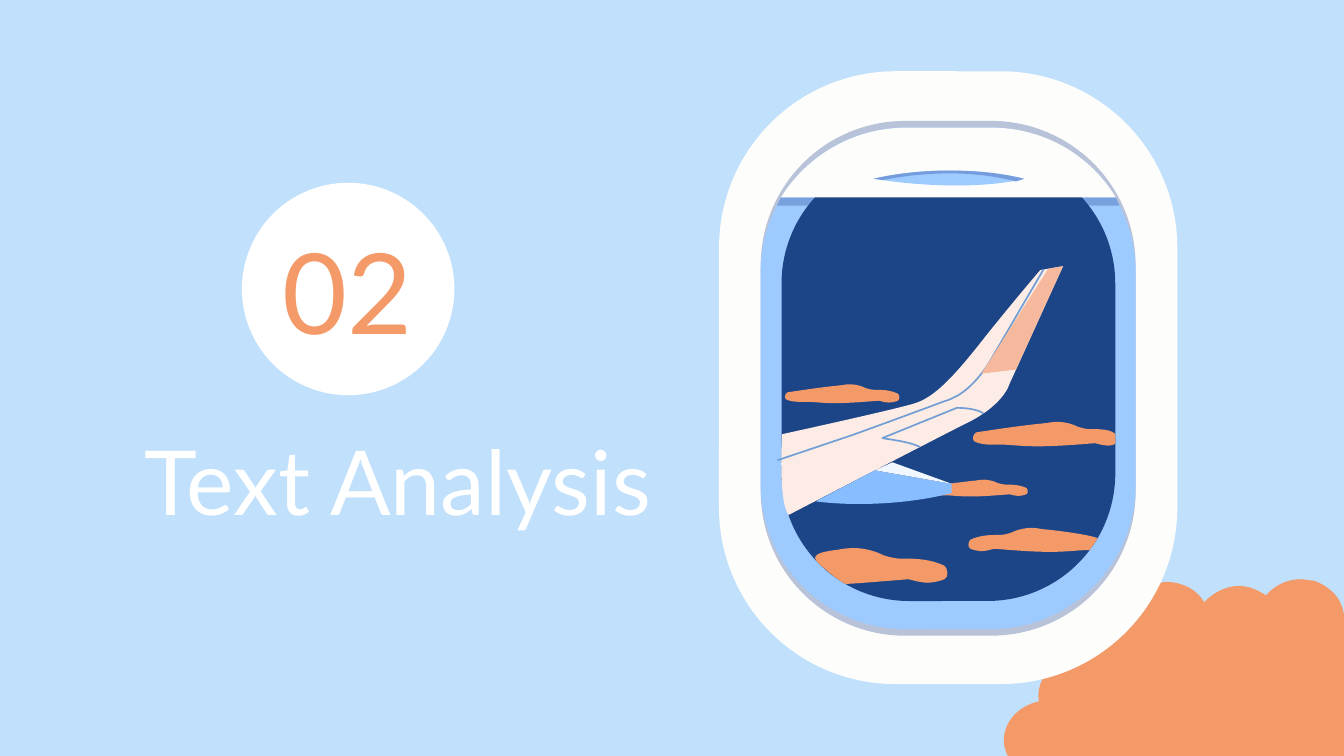
from math import sqrt

from lxml.etree import SubElement
from pptx import Presentation
from pptx.dml.color import RGBColor as RGB
from pptx.enum.shapes import MSO_SHAPE as SHAPE
from pptx.enum.text import MSO_ANCHOR as ANCHOR, PP_ALIGN as ALIGN
from pptx.oxml.ns import qn
from pptx.util import Pt

THEME = dict(
    font="Lato", title_size=48, number_size=60, seam_width=0.9,
    sky="C1E0FB", white="FFFFFF", orange="F49968", frame="FDFDFB", rim="B8C3D9",
    pane="9DCAFF", glass="1C4587", shade_edge="77A1DC", handle_edge="759DDD",
    wing="FDECE5", wing_tip="F6B99D", seam="719ED4", engine="88BEFF", nacelle="F1F7FF",
)
TITLE = ("Text Analysis", (70.6, 226.8, 300.2, 66.2))
NUMBER = ("02", (143.3, 132.5, 85.7, 45.4))
BADGE = (129.6, 97.9, 113.8, 113.8)

FRAME = (385.2, 38.2, 245.5, 328.3, 94.5)
RIM = (407.5, 64.8, 200.9, 275.8, 77.4)
PANE = (407.5, 68.4, 200.9, 268.6, 77.4)
GLASS = (418.7, 83.5, 178.8, 238.5, 68.4)

# Pairs are corners; groups of six are curves.
CORNER_CLOUD = [
    (697, 310.3), (689.8, 310.3, 683.3, 313.2, 678.2, 319),
    (673.9, 316.1, 668.9, 313.9, 663.8, 313.9), (656.6, 313.9, 650.2, 317.5, 645.1, 322.6),
    (641.5, 316.1, 633.6, 311.8, 625, 311.8), (623.5, 311.8, 622.8, 311.8, 621.4, 312.5),
    (611.3, 313.9, 604.1, 321.1, 602.6, 329.8), (598.3, 326.2, 592.6, 324.7, 587.5, 324.7),
    (582.5, 324.7, 577.4, 326.2, 573.1, 329), (564.5, 335.5, 562.3, 346.3, 567.4, 355),
    (559.4, 359.3, 555.1, 367.9, 556.6, 375.8), (545.8, 378, 537.8, 386.6, 537.8, 396.7),
    (537.8, 399.5, 538.5, 402.3, 540, 405), (720, 405), (720, 329.8),
    (719.3, 321.1, 712.8, 313.9, 703.4, 311), (701.3, 311, 699.1, 310.3, 697, 310.3),
]
SHADE_EDGE = [(418.3, 105.8), (416.2, 110.2), (599.8, 110.2), (597.7, 105.8)]
SHADE = [(418.3, 105.8), (432.7, 82.8, 457.9, 68.4, 485.3, 68.4), (531.4, 68.4),
         (558.7, 68.4, 583.9, 82.8, 597.7, 105.8)]
HANDLE_TOP = [(468, 95.8), (468, 95.8, 484.6, 91.4, 508.3, 91.4),
              (519.8, 91.4, 534.2, 92.2, 548.6, 95.8)]
HANDLE = HANDLE_TOP + [(548.6, 95.8, 536.4, 99.4, 512.6, 99.4),
                       (500.4, 99.4, 485.3, 98.6, 468, 95.8)]
HANDLE_EDGE = HANDLE_TOP + [(544.3, 97.2), (532.8, 94.3, 521.3, 92.9, 509, 92.9),
                            (496.1, 92.9, 483.8, 94.3, 473, 96.5)]
WING = [
    (569.5, 142.6), (557.3, 144.7), (557.3, 144.7, 540, 164.9, 524.2, 185),
    (507.6, 205.9, 499, 213.1, 490.3, 216), (481.7, 218.9, 419, 232.6, 419, 232.6),
    (416.9, 272.2, 422.6, 275.8, 422.6, 275.8), (422.6, 275.8, 503.3, 234, 516.2, 227.5),
    (537.8, 217.4, 540.7, 205.9, 540.7, 205.9),
]
WING_SEAM = [
    (559, 144.4), (529.2, 195.5), (527, 198.7, 521.3, 207, 513, 212),
    (510.5, 213.1, 509, 214.2, 506.2, 214.9), (494.6, 219.2, 473, 227.2, 457.2, 232.9),
    (439.2, 239, 428.4, 242.6, 416.5, 246.6),
]
WING_TIP = [(569.5, 142.6), (561.6, 144), (525.8, 200.2), (544.3, 198)]
FLAP_SEAM = [(526.7, 221.4), (524.2, 219.6, 518.4, 218.5, 512.6, 218.5), (472.7, 234.7),
             (475.2, 235.4, 486, 236.2, 492.8, 239.4)]
ENGINE = [(468.7, 252), (437, 268.6), (437, 268.6, 446.4, 270, 460.1, 270),
          (474.5, 270, 492.5, 268.6, 509.8, 264.2), (509.8, 259.2)]
NACELLE = [(478.1, 247.7), (468.7, 252), (509.8, 259.2)]
CLOUD_WIDTH = 62.2
CLOUD = [
    (36, 0), (33.8, 0, 32.4, 0.2, 31, 0.5), (21.6, 1.4, 11.5, 2.9, 2.2, 4.3),
    (0.4, 5, 0.4, 7.8, 1.4, 8.1), (3.6, 9.2, 5.8, 9.4, 8.6, 9.4), (13.7, 9.4),
    (17.3, 9.6, 21.6, 10.1, 27.4, 10.1), (35.3, 10.1, 43.2, 9.4, 51.1, 8.8),
    (52.6, 9.2, 54, 9.6, 56.2, 9.8), (57.6, 9.8, 59.8, 9.4, 61.2, 8.8),
    (62.6, 8.1, 62, 5.6, 61.2, 5), (57.6, 3.2, 53.3, 2.9, 49, 3),
    (46.8, 2.9, 45.4, 2.5, 43.9, 2), (41.8, 0.9, 38.9, 0.1, 36, 0),
]
CLOUDS = [
    (419.8, 205.9, 1, False), (495.4, 257, 0.89, False), (520.3, 226, 1.3, False),
    (389.7, 293.6, 1.9, False), (518.6, 282.8, 1.27, True),
]


def color(name):
    return RGB.from_string(THEME[name])


def pairs(part):
    return list(zip(part[::2], part[1::2]))


def paint(shape, fill):
    shape.shadow.inherit = False
    shape.fill.solid()
    shape.fill.fore_color.rgb = color(fill)
    shape.line.fill.background()


def add_outline(outline, closed=True):
    start, *ends = [(Pt(part[-2]), Pt(part[-1])) for part in outline]
    builder = slide.shapes.build_freeform(*start)
    builder.add_line_segments(ends, close=closed)
    shape = builder.convert_to_shape()
    segments = list(shape._element.iter(qn("a:lnTo")))
    for segment, part in zip(segments, outline[1:]):
        if len(part) == 6:
            curve = segment.makeelement(qn("a:cubicBezTo"))
            for x, y in pairs(part):
                SubElement(curve, qn("a:pt"), x=str(Pt(x) - shape.left),
                           y=str(Pt(y) - shape.top))
            segment.getparent().replace(segment, curve)
    return shape


def add_area(outline, fill):
    paint(add_outline(outline), fill)


def add_seam(outline):
    seam = add_outline(outline, closed=False)
    seam.shadow.inherit = False
    seam.fill.background()
    seam.line.color.rgb = color("seam")
    seam.line.width = Pt(THEME["seam_width"])


def add_window(left, top, width, height, radius, fill):
    window = slide.shapes.add_shape(SHAPE.ROUNDED_RECTANGLE,
                                    *map(Pt, (left, top, width, height)))
    window.adjustments[0] = radius / min(width, height)
    paint(window, fill)


def keep_in_glass(x, y):
    left, top, width, height, radius = GLASS
    drop = max(0, y - (top + height - radius))
    inset = radius - sqrt(max(0, radius ** 2 - drop ** 2))
    return min(max(x, left + inset), left + width - inset), y


def add_cloud(left, top, scale, mirrored):
    outline = []
    for part in CLOUD:
        placed = [keep_in_glass(left + scale * (CLOUD_WIDTH - x if mirrored else x),
                                top + scale * y) for x, y in pairs(part)]
        outline.append(sum(placed, ()))
    add_area(outline, "orange")


def add_text(content, box, size, fill, anchor, align):
    frame = slide.shapes.add_textbox(*map(Pt, box)).text_frame
    frame.word_wrap = True
    frame.vertical_anchor = anchor
    frame.margin_left = frame.margin_right = frame.margin_top = frame.margin_bottom = Pt(7.2)
    frame.text = content
    paragraph = frame.paragraphs[0]
    paragraph.alignment = align
    font = paragraph.runs[0].font
    font.name, font.size, font.color.rgb = THEME["font"], Pt(THEME[size]), color(fill)


deck = Presentation()
deck.slide_width, deck.slide_height = Pt(720), Pt(405)
slide = deck.slides.add_slide(deck.slide_layouts[6])
slide.background.fill.solid()
slide.background.fill.fore_color.rgb = color("sky")

add_area(CORNER_CLOUD, "orange")
for window, fill in ((FRAME, "frame"), (RIM, "rim"), (PANE, "pane")):
    add_window(*window, fill)
add_area(SHADE_EDGE, "shade_edge")
add_window(*GLASS, "glass")
for outline, fill in ((SHADE, "frame"), (HANDLE, "pane"), (HANDLE_EDGE, "handle_edge")):
    add_area(outline, fill)
for cloud in CLOUDS:
    add_cloud(*cloud)
add_area(WING, "wing")
add_seam(WING_SEAM)
add_area(WING_TIP, "wing_tip")
add_seam(FLAP_SEAM)
add_area(ENGINE, "engine")
add_area(NACELLE, "nacelle")

add_text(*TITLE, "title_size", "white", ANCHOR.BOTTOM, ALIGN.LEFT)
paint(slide.shapes.add_shape(SHAPE.OVAL, *map(Pt, BADGE)), "white")
add_text(*NUMBER, "number_size", "orange", ANCHOR.MIDDLE, ALIGN.CENTER)
deck.save("out.pptx")
